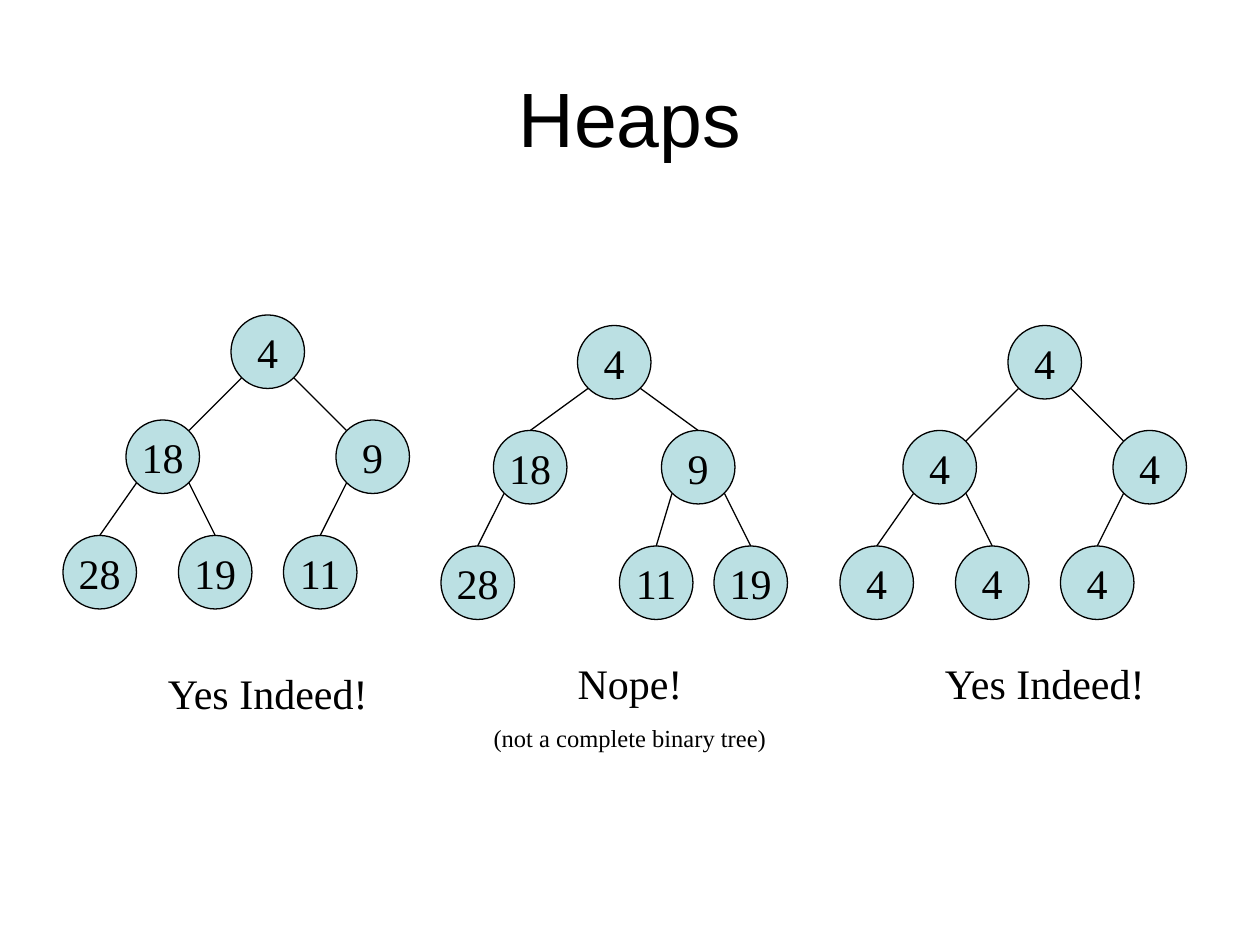
from lxml import etree
from pptx import Presentation
from pptx.dml.color import RGBColor
from pptx.enum.shapes import MSO_CONNECTOR, MSO_SHAPE
from pptx.enum.text import MSO_ANCHOR, PP_ALIGN
from pptx.oxml.ns import qn
from pptx.util import Pt

OVAL, STRAIGHT = MSO_SHAPE.OVAL, MSO_CONNECTOR.STRAIGHT
MIDDLE, TOP, CENTER = MSO_ANCHOR.MIDDLE, MSO_ANCHOR.TOP, PP_ALIGN.CENTER
BLACK = RGBColor(0x00, 0x00, 0x00)
PALE_TEAL = RGBColor(0xBB, 0xE0, 0xE3)
SANS, SERIF = "Arial", "Times New Roman"
NODE = 42
CORNER = 6
LEVELS = (0, 60, 126)
COMPLETE = ((96, 0, None), (36, 1, 0), (156, 1, 0), (0, 2, 1), (66, 2, 1), (126, 2, 2))
INCOMPLETE = ((78, 0, None), (30, 1, 0), (126, 1, 0), (0, 2, 1), (156, 2, 2), (102, 2, 2))
YES = (("Yes Indeed!", 24, 15),)
NOPE = (("Nope!", 24, 15), ("(not a complete binary tree)", 14, 8.8))
HEAPS = (
    ((36, 180), COMPLETE, ("4", "18", "9", "28", "19", "11"), YES, (48, 198, 138, 36)),
    ((480, 186), COMPLETE, ("4",) * 6, YES, (48, 186, 138, 36)),
    ((252, 186), INCOMPLETE, ("4", "18", "9", "28", "19", "11"), NOPE, (12, 186, 192, 62)),
)


def write(tf, lines, font, anchor, wrap=True):
    """Fill a text frame with centred lines of (text, size, space before)."""
    tf.word_wrap, tf.vertical_anchor = wrap, anchor
    for i, (text, size, before) in enumerate(lines):
        p = tf.add_paragraph() if i else tf.paragraphs[0]
        p.alignment, p.space_before = CENTER, Pt(before)
        r = p.add_run()
        r.text = text
        r.font.color.rgb = BLACK
        for name, value in {"name": font, "size": Pt(size)}.items():
            setattr(r.font, name, value)


def add_text(s, box, lines, font, anchor=TOP):
    """Add a text box of centred lines."""
    sp = s.shapes.add_textbox(*map(Pt, box))
    write(sp.text_frame, lines, font, anchor)


def add_node(shapes, left, top, label):
    """Add a labelled tree node."""
    sp = shapes.add_shape(OVAL, *map(Pt, (left, top, NODE, NODE)))
    sp.shadow.inherit = False
    sp.fill.solid()
    sp.fill.fore_color.rgb = PALE_TEAL
    sp.line.color.rgb = BLACK
    sp.line.width = Pt(0.75)
    write(sp.text_frame, [(label, 24, 0)], SERIF, MIDDLE, wrap=False)
    return sp


def add_edge(shapes, parent, child):
    """Join a parent's lower corner to the child's facing corner or top."""
    dx, dy = child.left - parent.left, child.top - parent.top
    near, far = Pt(CORNER), Pt(NODE - CORNER)
    out, back = (far, near) if dx > 0 else (near, far)
    line = shapes.add_connector(STRAIGHT, parent.left + out, parent.top + far,
                                child.left + back, child.top + near)
    if abs(dx) != dy:
        line.end_connect(child, 0)
    line.line.color.rgb = BLACK
    line.line.width = Pt(0.75)
    etree.SubElement(line._element.spPr, qn("a:effectLst"))


def add_heap(s, origin, layout, labels, caption, caption_box):
    """Draw one tree and its verdict relative to the origin."""
    left, top = origin
    shapes = s.shapes.add_group_shape().shapes
    nodes = [add_node(shapes, left + x, top + LEVELS[level], label)
             for (x, level, _), label in zip(layout, labels)]
    for node, (_, _, parent) in zip(nodes, layout):
        if parent is not None:
            add_edge(shapes, nodes[parent], node)
    x, y, width, height = caption_box
    add_text(s, (left + x, top + y, width, height), caption, SERIF)


def main():
    """Build the slide and save it."""
    prs = Presentation()
    prs.slide_width, prs.slide_height = Pt(720), Pt(540)
    s = prs.slides.add_slide(prs.slide_layouts[6])
    add_text(s, (36, 21.6, 648, 90), [("Heaps", 44, 0)], SANS, MIDDLE)
    for heap in HEAPS:
        add_heap(s, *heap)
    prs.save("out.pptx")


if __name__ == "__main__":
    main()
